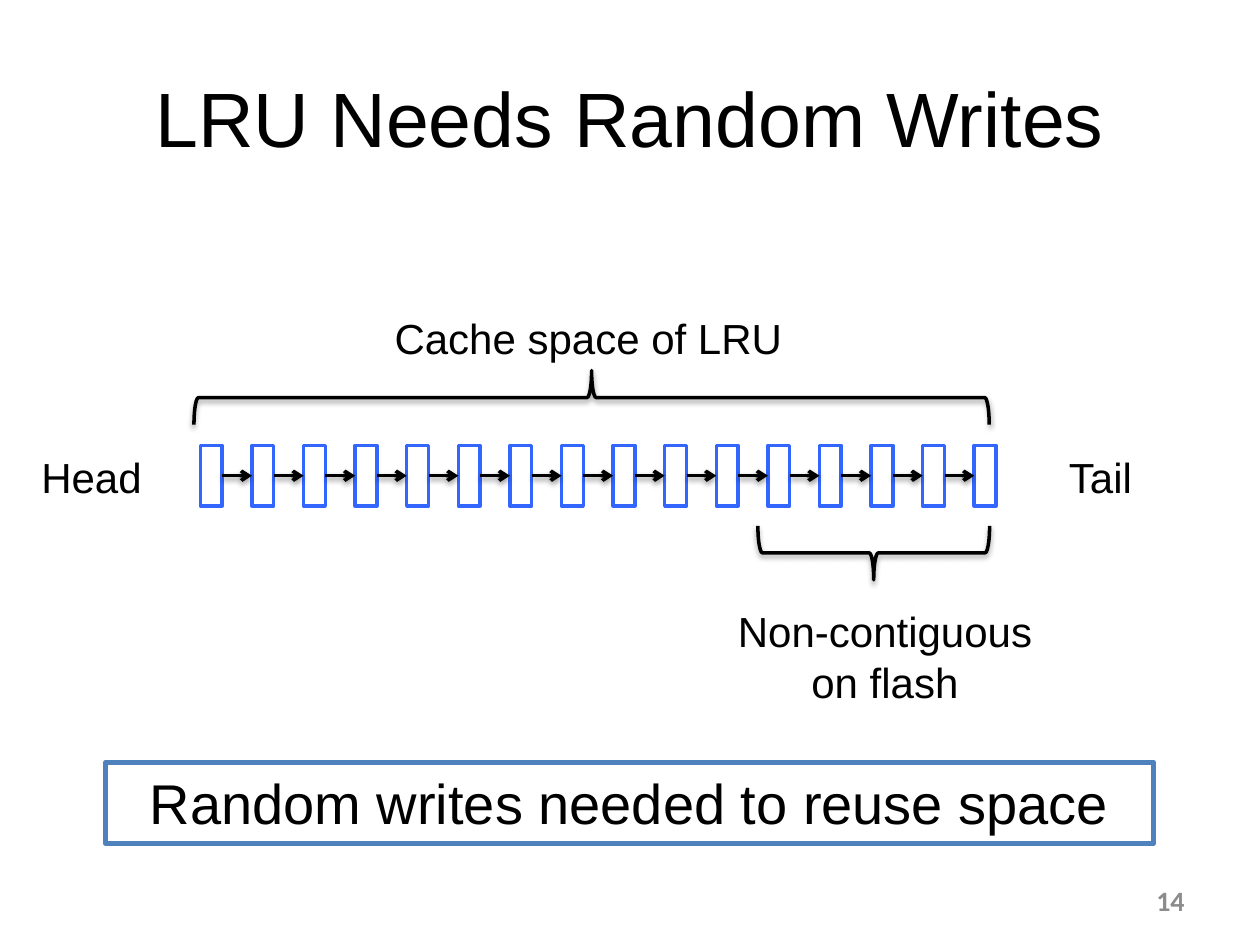
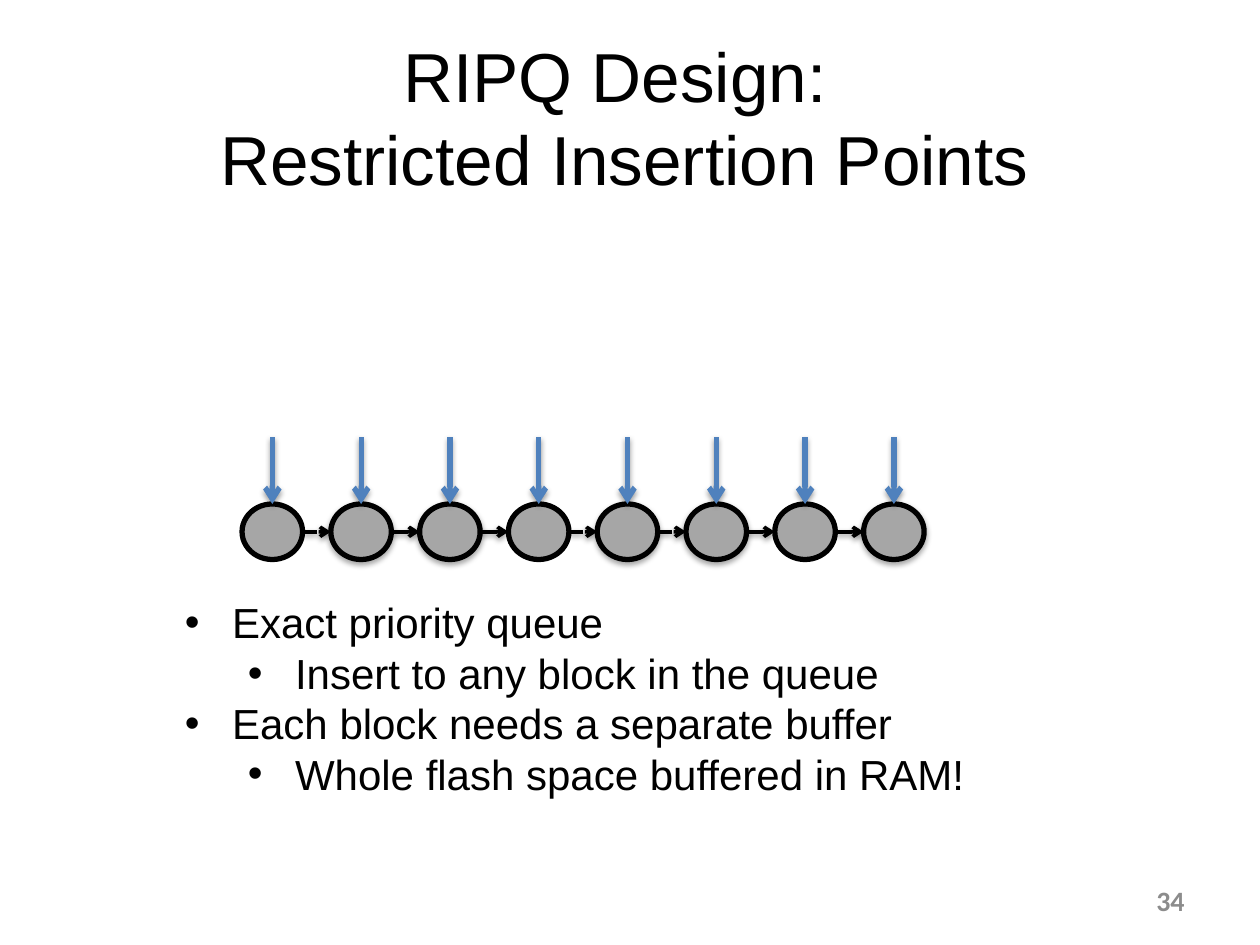
"""Build two slides on LRU random writes and the exact priority queue behind RIPQ."""
import pptx
import pptx.dml.color
import pptx.enum.dml
import pptx.enum.shapes
import pptx.enum.text
import pptx.oxml.ns
import pptx.util
from lxml import etree

Cm, Pt = pptx.util.Cm, pptx.util.Pt
RGBColor = pptx.dml.color.RGBColor
SHAPE = pptx.enum.shapes.MSO_SHAPE
ALIGN = pptx.enum.text.PP_ALIGN
ANCHOR = pptx.enum.text.MSO_ANCHOR
DASH = pptx.enum.dml.MSO_LINE.DASH
qn = pptx.oxml.ns.qn

BLACK = RGBColor(0x00, 0x00, 0x00)
WHITE = RGBColor(0xFF, 0xFF, 0xFF)
BLOCK_BLUE = RGBColor(0x33, 0x66, 0xFF)
ACCENT = RGBColor(0x4F, 0x81, 0xBD)
NODE_GRAY = RGBColor(0xA6, 0xA6, 0xA6)
NUMBER_GRAY = RGBColor(0x8C, 0x8C, 0x8C)


def write(sp, text, size, align=ALIGN.CENTER, anchor=ANCHOR.TOP, color=BLACK, **font):
    """Fill a shape with one paragraph per line of text."""
    tf = sp.text_frame
    for name, value in {"text": text, "word_wrap": True, "vertical_anchor": anchor}.items():
        setattr(tf, name, value)
    for p in tf.paragraphs:
        p.alignment = align
        for r in p.runs:
            for name, value in {"name": "Arial", "size": Pt(size), **font}.items():
                setattr(r.font, name, value)
            r.font.color.rgb = color


def arrow(s, x1, y1, x2, y2, color=BLACK, width=2, dash=None):
    """Draw a straight line with an open arrowhead at its end."""
    c = s.shapes.add_connector(pptx.enum.shapes.MSO_CONNECTOR.STRAIGHT, Cm(x1), Cm(y1), Cm(x2), Cm(y2))
    c.line.color.rgb = color
    for name, value in {"width": Pt(width), "dash_style": dash}.items():
        setattr(c.line, name, value)
    etree.SubElement(c.element.spPr.find(qn("a:ln")), qn("a:tailEnd"), type="arrow")
    return c


prs = pptx.Presentation()
prs.slide_width, prs.slide_height = Cm(25.4), Cm(19.05)

slides = []
for title, size, left, width, number in [
    ("LRU Needs Random Writes", 44, 1.27, 22.86, "14"),
    ("RIPQ Design: \vRestricted Insertion Points", 39.6, 0.64, 23.9, "34"),
]:
    s = prs.slides.add_slide(prs.slide_layouts[5])
    box = {"left": Cm(left), "top": Cm(0.76), "width": Cm(width), "height": Cm(3.18)}
    for name, value in box.items():
        setattr(s.shapes.title, name, value)
    write(s.shapes.title, title, size, anchor=ANCHOR.MIDDLE)
    sp = s.shapes.add_textbox(Cm(18.2), Cm(17.65), Cm(5.93), Cm(1.01))
    write(sp, number, 16, ALIGN.RIGHT, ANCHOR.MIDDLE, NUMBER_GRAY, name="Calibri", bold=True)
    slides.append(s)

s = slides[0]
for left, top, width, height, rotation in [(11.38, 0, 1.09, 16.03, 90), (17.07, 8.81, 1.09, 4.67, 270)]:
    sp = s.shapes.add_shape(SHAPE.LEFT_BRACE, Cm(left), Cm(top), Cm(width), Cm(height))
    sp.rotation = rotation
    sp.fill.background()
    sp.line.color.rgb = BLACK
    sp.line.width = Pt(2)

for text, left, top, width, height in [
    ("Head", 0.56, 8.97, 2.57, 1.27),
    ("Tail", 20.9, 8.97, 2.57, 1.27),
    ("Cache space of LRU", 7.29, 6.17, 9.14, 1.27),
    ("Non-contiguous\non flash", 13.89, 12.09, 7.9, 2.31),
]:
    write(s.shapes.add_textbox(Cm(left), Cm(top), Cm(width), Cm(height)), text, 24)

blocks = []
for i in range(16):
    sp = s.shapes.add_shape(SHAPE.RECTANGLE, Cm(4.04 + 1.04 * i), Cm(8.98), Cm(0.44), Cm(1.22))
    sp.shadow.inherit = False
    sp.fill.solid()
    sp.fill.fore_color.rgb = WHITE
    sp.line.color.rgb = BLOCK_BLUE
    sp.line.width = Pt(2)
    blocks.append(sp)
for block, following in zip(blocks, blocks[1:]):
    c = arrow(s, 0, 0, 1, 0)
    c.begin_connect(block, 3)
    c.end_connect(following, 1)

sp = s.shapes.add_shape(SHAPE.RECTANGLE, Cm(2.13), Cm(15.37), Cm(21.13), Cm(1.63))
sp.shadow.inherit = False
sp.fill.solid()
sp.fill.fore_color.rgb = WHITE
sp.line.color.rgb = ACCENT
sp.line.width = Pt(3)
write(sp, "Random writes needed to reuse space", 32)

s = slides[1]
points = [
    (0, "Exact priority queue"),
    (1, "Insert to any block in the queue"),
    (0, "Each block needs a separate buffer"),
    (1, "Whole flash space buffered in RAM!"),
]
sp = s.shapes.add_textbox(Cm(3.48), Cm(11.91), Cm(18.69), Cm(4.37))
write(sp, "\n".join(text for level, text in points), 24, ALIGN.LEFT)
for p, (level, text) in zip(sp.text_frame.paragraphs, points):
    p.level = level
    pPr = p.runs[0].font and p._p.get_or_add_pPr()
    pPr.set("marL", str(Cm(0.95 + 1.27 * level)))
    pPr.set("indent", str(-Cm(0.95)))
    etree.SubElement(pPr, qn("a:buFont"), typeface="Arial")
    etree.SubElement(pPr, qn("a:buChar"), char="•")

pitch, node_left, node_top, node_width, node_height = 1.79, 4.88, 10.16, 1.22, 1.12
middle = node_top + node_height / 2
flat_nodes, dashed_links = (0, 3, 6), (0, 3, 4)
for i in range(8):
    left = node_left + pitch * i
    sp = s.shapes.add_shape(SHAPE.OVAL, Cm(left), Cm(node_top), Cm(node_width), Cm(node_height))
    if i in flat_nodes:
        sp.shadow.inherit = False
    sp.fill.solid()
    sp.fill.fore_color.rgb = NODE_GRAY
    sp.line.color.rgb = BLACK
    sp.line.width = Pt(3)
    center = left + node_width / 2
    arrow(s, center, 8.81, center, node_top, ACCENT, 3)
    if i < 7:
        arrow(s, left + node_width, middle, left + pitch, middle, dash=DASH if i in dashed_links else None)

prs.save("out.pptx")
